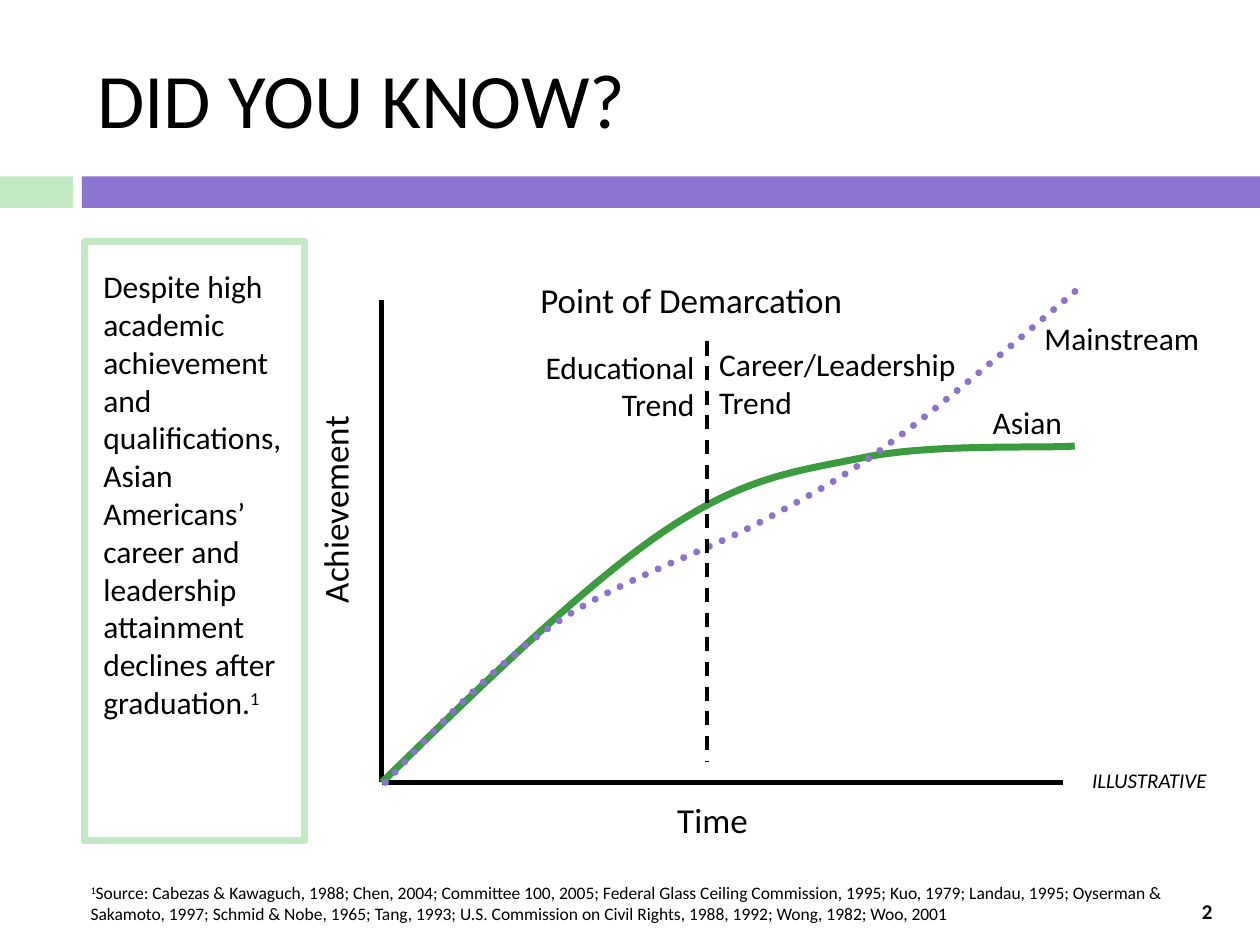
from pptx import Presentation
from pptx import util as u
from pptx.dml.color import RGBColor
from pptx.enum import dml, shapes, text
from pptx.oxml import xmlchemy

COLORS = {"ink": "000000", "paper": "FFFFFF", "mint": "C2E8C4",
          "purple": "8C73D0", "green": "3A9B3F"}
LEFT, CENTER, RIGHT = text.PP_ALIGN.LEFT, text.PP_ALIGN.CENTER, text.PP_ALIGN.RIGHT
SOLID, DASH = dml.MSO_LINE.SOLID, dml.MSO_LINE.DASH
DOT = dml.MSO_LINE.ROUND_DOT


class SlideBuilder:
    """Draws styled elements on a grid of 100 columns by 75 rows; carets mark superscripts."""

    font_name = "Calibri"

    def __init__(self):
        self.deck = Presentation()
        self.deck.slide_width, self.deck.slide_height = u.Inches(10), u.Inches(7.5)
        self.column = self.deck.slide_width / 100
        self.row = self.deck.slide_height / 75
        self.page = self.deck.slides.add_slide(self.deck.slide_layouts[5])

    def color(self, name):
        return RGBColor.from_string(COLORS[name])

    def point(self, column, row):
        return round(column * self.column), round(row * self.row)

    def area(self, left, top, width, height):
        return *self.point(left, top), *self.point(width, height)

    def stroke(self, line, color, width, dash=SOLID):
        line.color.rgb = self.color(color)
        line.width = u.Pt(width)
        line.dash_style = dash

    def set_words(self, box, words, size, align=LEFT, anchor=text.MSO_ANCHOR.TOP,
                  bold=False, italic=False):
        frame = box.text_frame
        frame.word_wrap = True
        frame.vertical_anchor = anchor
        para = frame.paragraphs[0]
        first, *others = words.split("^")
        para.text = first
        for index, part in enumerate(others):
            span = para.add_run()
            span.text = part
            if index % 2 == 0:
                span.font._element.set("baseline", "30000")
        para.alignment = align
        font = para.font
        font.name, font.size = self.font_name, u.Pt(size)
        font.bold, font.italic = bold, italic
        font.color.rgb = self.color("ink")

    def title(self, words, place):
        box = self.page.shapes.title
        box.left, box.top, box.width, box.height = self.area(*place)
        self.set_words(box, words, 44, anchor=text.MSO_ANCHOR.MIDDLE)

    def rectangle(self, place, fill, border=None):
        box = self.page.shapes.add_shape(shapes.MSO_SHAPE.RECTANGLE, *self.area(*place))
        box.shadow.inherit = False
        box.fill.solid()
        box.fill.fore_color.rgb = self.color(fill)
        if border:
            self.stroke(box.line, border, 4)
        else:
            box.line.fill.background()
        return box

    def panel(self, words, place):
        box = self.rectangle(place, "paper", "mint")
        frame = box.text_frame
        frame.margin_left = frame.margin_right = u.Inches(0.15)
        frame.margin_top, frame.margin_bottom = u.Inches(0.2), u.Inches(0.1)
        self.set_words(box, words, 18)

    def label(self, words, place, size=18, rotation=0, **style):
        box = self.page.shapes.add_textbox(*self.area(*place))
        box.rotation = rotation
        self.set_words(box, words, size, **style)

    def line(self, start, end, width, dash=SOLID):
        rule = self.page.shapes.add_connector(
            shapes.MSO_CONNECTOR.STRAIGHT, *self.point(*start), *self.point(*end))
        self.stroke(rule.line, "ink", width, dash)
        rule._element.spPr.append(xmlchemy.OxmlElement("a:effectLst"))

    def curve(self, points, color, dash=SOLID):
        start, *others = [self.point(*spot) for spot in points]
        builder = self.page.shapes.build_freeform(*start)
        builder.add_line_segments(others, close=False)
        outline = builder.convert_to_shape()
        outline.shadow.inherit = False
        outline.fill.background()
        self.stroke(outline.line, color, 4, dash)
        if dash == DOT:
            outline.line._ln.set("cap", "rnd")
        segments = outline._element.xpath(".//a:lnTo")
        for index in range(0, len(segments), 3):
            bend = xmlchemy.OxmlElement("a:cubicBezTo")
            segments[index].addprevious(bend)
            for segment in segments[index:index + 3]:
                bend.append(segment[0])
                segment.getparent().remove(segment)


def main():
    slide = SlideBuilder()
    slide.rectangle((0, 14, 5.8, 2.5), "mint")
    slide.rectangle((6.5, 14, 93.5, 2.5), "purple")
    slide.title("DID YOU KNOW?", (6.7, 3, 88.3, 9.5))
    slide.panel("Despite high academic achievement and qualifications, Asian Americans’ "
                "career and leadership attainment declines after graduation.^1^",
                (6.7, 19.2, 17.5, 47.5))

    origin = (30.3, 62.1)
    slide.line((30.3, 23.8), origin, 3)
    slide.line(origin, (84.4, 62.1), 3)
    slide.label("Time", (42.8, 62.9, 27.5, 4.3), 20, align=CENTER)
    slide.label("Achievement", (12.8, 38.3, 27.5, 4.3), 20, rotation=270, align=CENTER)

    slide.curve([origin, (38.3, 54.3), (46.4, 46.4), (52.8, 42.1),
                 (59.2, 37.8), (63.2, 37.4), (68.6, 36.3),
                 (74, 35.2), (82.5, 35.6), (85.3, 35.4)], "green")
    slide.curve([(30.6, 62.1), (34.8, 57.6), (38.9, 53.1), (43.9, 49.6),
                 (48.9, 46.1), (56, 43.8), (60.6, 41.3),
                 (65.2, 38.8), (67.3, 37.7), (71.4, 34.6),
                 (75.6, 31.5), (83.2, 24.9), (85.6, 22.9)], "purple", DOT)
    slide.line((56.1, 27.1), (56.1, 60.4), 2, DASH)

    slide.label("Point of Demarcation", (41.9, 21.6, 28.7, 4.3), 20)
    slide.label("Educational Trend", (38.6, 27.1, 17.5, 7), align=RIGHT)
    slide.label("Career/Leadership\vTrend", (56.1, 26.9, 30.8, 7))
    slide.label("Asian", (77.8, 31.5, 11.9, 4))
    slide.label("Mainstream", (81.9, 24.8, 15.5, 4))
    slide.label("^1^Source: Cabezas & Kawaguch, 1988; Chen, 2004; Committee 100, 2005; "
                "Federal Glass Ceiling Commission, 1995; Kuo, 1979; Landau, 1995; "
                "Oyserman & Sakamoto, 1997; Schmid & Nobe, 1965; Tang, 1993; "
                "U.S. Commission on Civil Rights, 1988, 1992; Wong, 1982; Woo, 2001",
                (6.2, 69.5, 88.8, 4.4), 10)
    slide.label("ILLUSTRATIVE", (85.7, 60.4, 19.7, 3), 12, italic=True)
    slide.label("2", (92.9, 71, 5.8, 2.7), 12, align=CENTER,
                anchor=text.MSO_ANCHOR.MIDDLE, bold=True)
    slide.deck.save("out.pptx")


if __name__ == "__main__":
    main()
